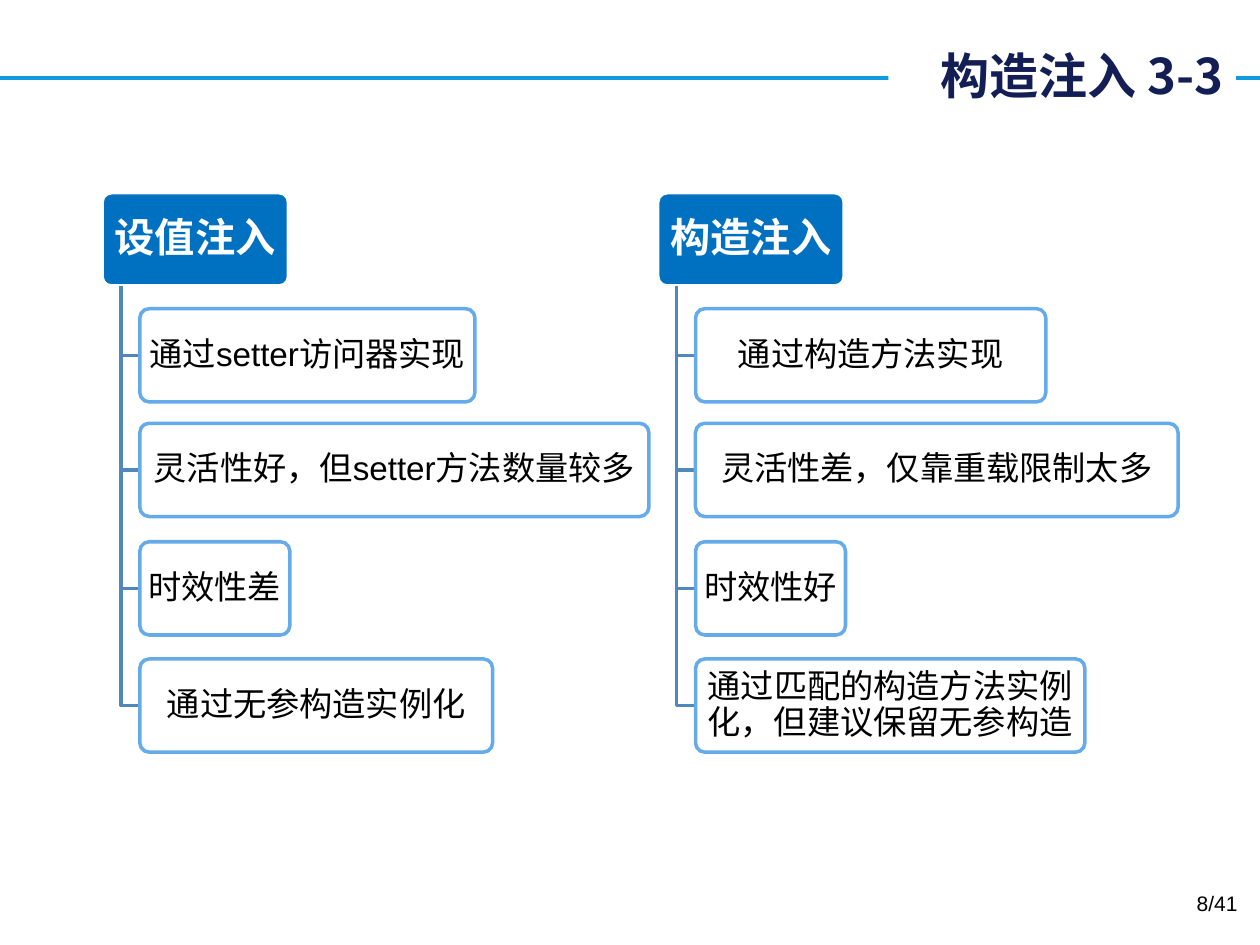
"""Build a slide that compares setter injection with constructor injection."""
from dataclasses import dataclass

from lxml import etree
from pptx import Presentation
from pptx import util as u
from pptx.dml.color import RGBColor
from pptx.enum import shapes, text
from pptx.oxml import ns

WHITE = RGBColor(0xFF, 0xFF, 0xFF)
BLACK = RGBColor(0x00, 0x00, 0x00)
NAVY = RGBColor(0x12, 0x1E, 0x54)
SKY = RGBColor(0x0E, 0x9C, 0xDE)
BLUE = RGBColor(0x00, 0x70, 0xC0)
STEEL = RGBColor(0x51, 0x88, 0xBB)
PALE = RGBColor(0x65, 0xAA, 0xE9)

SANS = "Noto Sans CJK SC"
TOPS = (2.45, 3.36, 4.3, 5.23)
HEAD_TOP, HEAD_WIDTH, HIGH = 1.53, 1.48, 0.74
STEP = 0.15


@dataclass(frozen=True)
class Leaf:
    label: str
    width: float


@dataclass(frozen=True)
class Tree:
    title: str
    left: float
    leaves: tuple[Leaf, ...]


TREES = (
    Tree("设值注入", 0.81, (
        Leaf("通过setter访问器实现", 2.66),
        Leaf("灵活性好，但setter方法数量较多", 4.04),
        Leaf("时效性差", 1.19),
        Leaf("通过无参构造实例化", 2.8),
    )),
    Tree("构造注入", 5.22, (
        Leaf("通过构造方法实现", 2.78),
        Leaf("灵活性差，仅靠重载限制太多", 3.83),
        Leaf("时效性好", 1.19),
        Leaf("通过匹配的构造方法实例化，但建议保留无参构造", 3.09),
    )),
)


def write(shape, label: str, size: float, color: RGBColor, *, bold=False,
          font="Arial", align=text.PP_ALIGN.CENTER,
          anchor=text.MSO_ANCHOR.MIDDLE, inset=(0.1, 0.05), space=1.0) -> None:
    """Put formatted text in a shape."""
    frame = shape.text_frame
    frame.word_wrap = True
    frame.vertical_anchor = anchor
    frame.margin_left = frame.margin_right = u.Inches(inset[0])
    frame.margin_top = frame.margin_bottom = u.Inches(inset[1])
    para = frame.paragraphs[0]
    para.alignment = align
    para.line_spacing = space
    run = para.add_run()
    run.text = label
    run.font.size = u.Pt(size)
    run.font.bold = bold
    run.font.name = font
    run.font.color.rgb = color
    east = etree.SubElement(run.font._element, ns.qn("a:ea"))
    east.set("typeface", SANS)


def box(slide, left: float, top: float, width: float, fill: RGBColor,
        edge: RGBColor, opaque: int = 100):
    """Draw a rounded box."""
    shape = slide.shapes.add_shape(
        shapes.MSO_SHAPE.ROUNDED_RECTANGLE, u.Inches(left), u.Inches(top),
        u.Inches(width), u.Inches(HIGH))
    shape.adjustments[0] = 0.1
    shape.shadow.inherit = False
    shape.fill.solid()
    shape.fill.fore_color.rgb = fill
    if opaque < 100:
        tint = shape._element.spPr.find(ns.qn("a:solidFill"))[0]
        etree.SubElement(tint, ns.qn("a:alpha")).set("val", str(opaque * 1000))
    shape.line.color.rgb = edge
    shape.line.width = u.Pt(2)
    return shape


def elbow(slide, left: float, top: float, end: float) -> None:
    """Draw a bent line from a head down to a leaf."""
    start, stop, base = u.Inches(left), u.Inches(left + STEP), u.Inches(end)
    path = slide.shapes.build_freeform(start, u.Inches(top))
    path.add_line_segments([(start, base), (stop, base)], close=False)
    shape = path.convert_to_shape()
    shape.shadow.inherit = False
    shape.fill.background()
    shape.line.color.rgb = STEEL
    shape.line.width = u.Pt(2)


def draw(slide, tree: Tree) -> None:
    """Draw one head with its leaves."""
    head = box(slide, tree.left, HEAD_TOP, HEAD_WIDTH, BLUE, WHITE)
    write(head, tree.title, 23, WHITE, bold=True, inset=(0.05, 0.03), space=0.9)
    stem = tree.left + STEP
    for leaf, top in zip(tree.leaves, TOPS):
        elbow(slide, stem, HEAD_TOP + HIGH, top + HIGH / 2)
        shape = box(slide, stem + STEP, top, leaf.width, WHITE, PALE, 90)
        write(shape, leaf.label, 19, BLACK, inset=(0.04, 0.03), space=0.9)


def banner(slide) -> None:
    """Draw the rule and the title that sits on it."""
    rule = slide.shapes.add_connector(
        shapes.MSO_CONNECTOR.STRAIGHT, u.Inches(0), u.Inches(0.62),
        u.Inches(10), u.Inches(0.62))
    rule.line.color.rgb = SKY
    rule.line.width = u.Pt(2.25)
    etree.SubElement(rule._element.spPr, ns.qn("a:effectLst"))
    title = slide.shapes.add_shape(
        shapes.MSO_SHAPE.RECTANGLE, u.Inches(7.05), u.Inches(0.31),
        u.Inches(2.76), u.Inches(0.57))
    title.shadow.inherit = False
    title.fill.solid()
    title.fill.fore_color.rgb = WHITE
    title.line.fill.background()
    write(title, "构造注入 3-3", 28, NAVY, bold=True, font=SANS,
          align=text.PP_ALIGN.RIGHT)


def main() -> None:
    """Build and save the slide."""
    deck = Presentation()
    deck.slide_width, deck.slide_height = u.Inches(10), u.Inches(7.5)
    slide = deck.slides.add_slide(deck.slide_layouts[6])
    banner(slide)
    for tree in TREES:
        draw(slide, tree)
    page = slide.shapes.add_textbox(
        u.Inches(7.59), u.Inches(7.02), u.Inches(2.33), u.Inches(0.4))
    write(page, "8/41", 12, BLACK, align=text.PP_ALIGN.RIGHT,
          anchor=text.MSO_ANCHOR.TOP)
    deck.save("out.pptx")


if __name__ == "__main__":
    main()
